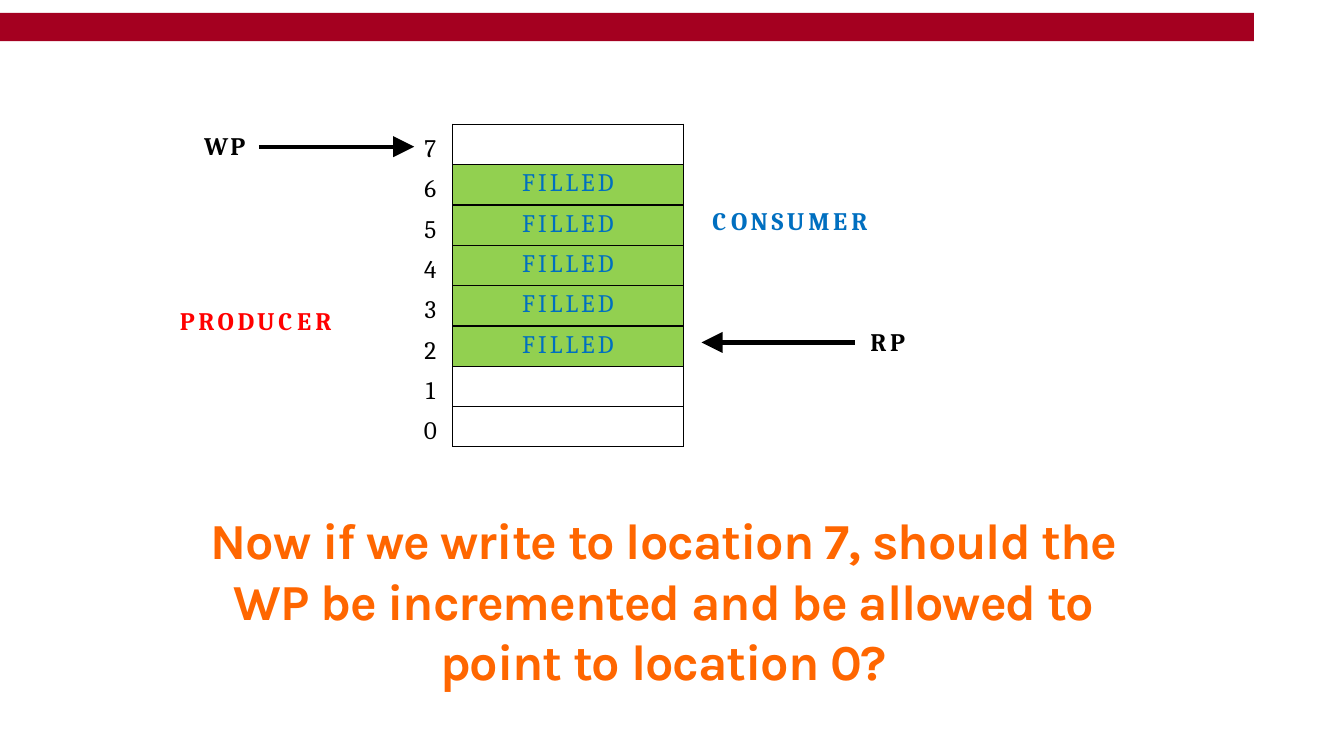
from dataclasses import dataclass

from lxml import etree
from pptx import Presentation
from pptx.dml.color import RGBColor
from pptx.enum.shapes import MSO_CONNECTOR as Link, MSO_SHAPE as Preset
from pptx.enum.text import MSO_ANCHOR as Anchor, MSO_AUTO_SIZE as AutoSize, PP_ALIGN as Align
from pptx.oxml.ns import qn
from pptx.util import Pt

BLACK, RED, BLUE = "000000", "FF0000", "006FC0"
GREEN, CRIMSON, ORANGE = "92D050", "A40020", "FF6600"
ROW_HEIGHT, SLOTS = 28.8, 8
FILLED_SLOTS = range(2, 7)
SERIF = {"name": "Cambria", "size": Pt(18)}


@dataclass
class Label:
    spans: dict[str, float]  # text and its letter spacing
    left: float
    top: float
    width: float
    color: str


@dataclass
class Arrow:
    start: float
    end: float
    y: float


@dataclass
class Cell:
    text: str = ""
    fill: str = ""


LABELS = [
    Label({"PRO": 2.5, "D": 2.1, "U": 2.6, "C": 3.5, "ER": 3}, 127.4, 217.4, 117.4, RED),
    Label({"C": 3.5, "O": 2.3, "N": 2.6, "S": 2.4, "U": 2.9, "M": 2.4, "ER": 3},
          507.6, 145.4, 118.8, BLUE),
    Label({"WP": 1.5}, 144.7, 92.2, 33.8, BLACK),
    Label({"RP": 2.6}, 620.6, 231.8, 30.2, BLACK),
]
ARROWS = [Arrow(185, 295.9, 104.8), Arrow(610.6, 501.1, 244.6)]


def rgb(color: str) -> RGBColor:
    return RGBColor.from_string(color)


def set_all(target, values: dict) -> None:
    for name, value in values.items():
        setattr(target, name, value)


def write(para, text: str, font: dict, color: str, tracking: float = 0) -> None:
    span = para.add_run()
    span.text = text
    set_all(span.font, font)
    span.font.color.rgb = rgb(color)
    span._r.get_or_add_rPr().set("spc", str(round(tracking * 100)))


def prepare_frame(frame) -> None:
    set_all(frame, {"word_wrap": True, "auto_size": AutoSize.NONE,
                    "vertical_anchor": Anchor.TOP,
                    "margin_left": Pt(1.2), "margin_top": Pt(1),
                    "margin_right": 0, "margin_bottom": 0})


def add_label(page, label: Label) -> None:
    box = page.shapes.add_textbox(Pt(label.left), Pt(label.top), Pt(label.width), Pt(43.9))
    prepare_frame(box.text_frame)
    for text, tracking in label.spans.items():
        write(box.text_frame.paragraphs[0], text, SERIF | {"bold": True},
              label.color, tracking)


def add_arrow(page, arrow: Arrow) -> None:
    line = page.shapes.add_connector(Link.STRAIGHT, Pt(arrow.start), Pt(arrow.y),
                                     Pt(arrow.end), Pt(arrow.y))
    line.line.width = Pt(3)
    line.line.color.rgb = rgb(BLACK)
    etree.SubElement(line.line._get_or_add_ln(), qn("a:tailEnd"),
                     type="triangle", w="lg", len="lg")
    etree.SubElement(line._element.spPr, qn("a:effectLst"))


def add_border(cell) -> None:
    properties = cell._tc.get_or_add_tcPr()
    for index, side in enumerate(("lnL", "lnR", "lnT", "lnB")):
        edge = etree.Element(qn(f"a:{side}"), w=str(Pt(0.96)))
        solid = etree.SubElement(edge, qn("a:solidFill"))
        etree.SubElement(solid, qn("a:srgbClr"), val=BLACK)
        properties.insert(index, edge)


def add_column(page, cells: list[Cell], left: float, top: float, width: float,
               color: str, inset: float, tracking: float, bordered: bool) -> None:
    frame = page.shapes.add_table(len(cells), 1, Pt(left), Pt(top), Pt(width),
                                  Pt(ROW_HEIGHT * len(cells)))
    table = frame.table
    set_all(table, {"first_row": False, "horz_banding": False})
    for row, content in enumerate(cells):
        table.rows[row].height = Pt(ROW_HEIGHT)
        cell = table.cell(row, 0)
        set_all(cell, {"margin_left": 0, "margin_right": 0, "margin_bottom": 0,
                       "margin_top": Pt(inset), "vertical_anchor": Anchor.TOP})
        if content.fill:
            cell.fill.solid()
            cell.fill.fore_color.rgb = rgb(content.fill)
        else:
            cell.fill.background()
        if content.text:
            para = cell.text_frame.paragraphs[0]
            para.alignment = Align.CENTER
            write(para, content.text, SERIF, color, tracking)
        if bordered:
            add_border(cell)


def add_bar(page) -> None:
    bar = page.shapes.add_shape(Preset.RECTANGLE, 0, Pt(9.2), Pt(895.7), Pt(20.2))
    bar.shadow.inherit = False
    bar.fill.solid()
    bar.fill.fore_color.rgb = rgb(CRIMSON)
    bar.line.fill.background()


def format_question(page) -> None:
    title = page.shapes.title
    set_all(title, {"left": Pt(128.9), "top": Pt(362.9),
                    "width": Pt(689), "height": Pt(173.5)})
    prepare_frame(title.text_frame)
    para = title.text_frame.paragraphs[0]
    para.alignment = Align.CENTER
    write(para, "Now if we write to location 7, should the WP be incremented "
          "and be allowed to point to location 0?",
          {"name": "Karla", "size": Pt(36), "bold": True}, ORANGE, -0.8)


def main() -> None:
    deck = Presentation()
    set_all(deck, {"slide_width": Pt(960), "slide_height": Pt(540)})
    page = deck.slides.add_slide(deck.slide_layouts[5])

    # Heading bar and question
    add_bar(page)
    format_question(page)

    # Buffer with its slot numbers, highest slot first
    slots = list(reversed(range(SLOTS)))
    buffer = [Cell("FILLED", GREEN) if slot in FILLED_SLOTS else Cell() for slot in slots]
    numbers = [Cell(str(slot)) for slot in slots]
    add_column(page, buffer, 323.3, 88.8, 164.9, BLUE, 3.2, 2.2, True)
    add_column(page, numbers, 292.3, 92.4, 30.2, BLACK, 4, 0, False)

    # Pointers and roles
    for arrow in ARROWS:
        add_arrow(page, arrow)
    for label in LABELS:
        add_label(page, label)

    deck.save("out.pptx")


if __name__ == "__main__":
    main()
